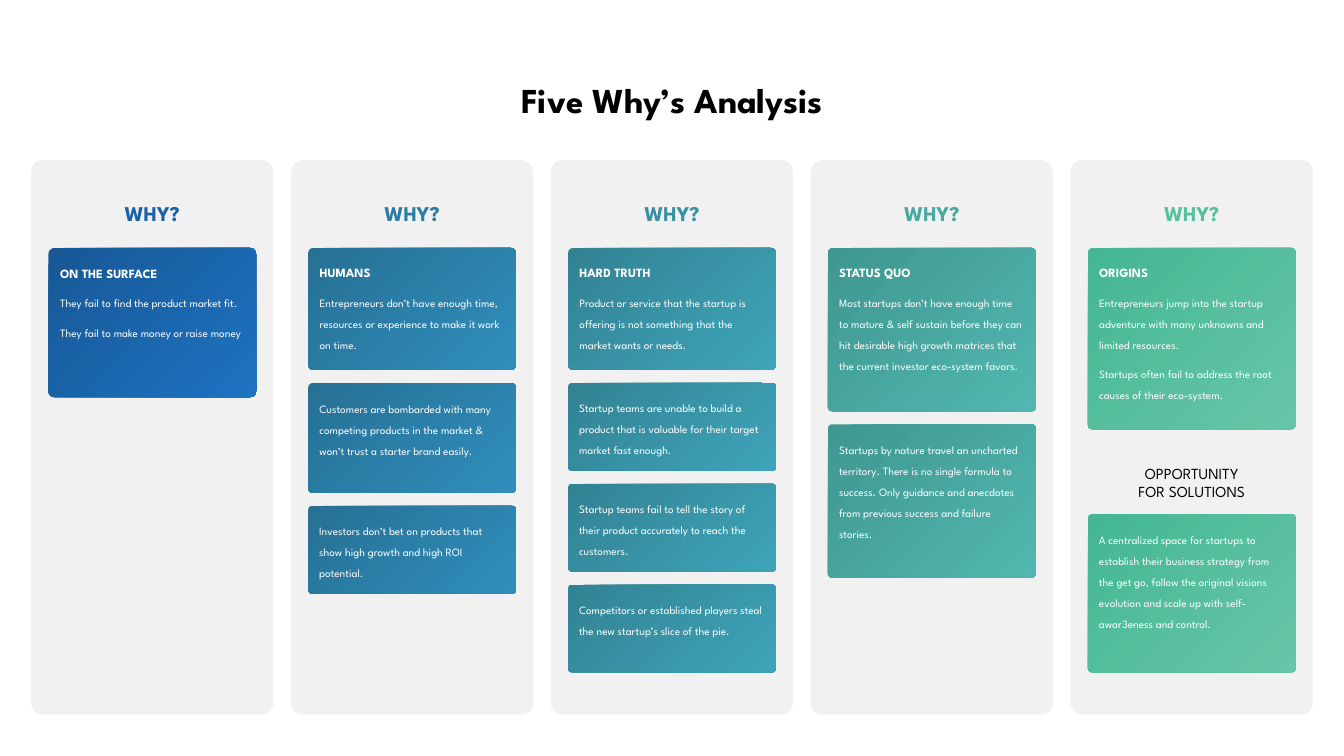
from pptx import Presentation
from pptx.dml.color import RGBColor as RGB
from pptx.enum.shapes import MSO_SHAPE as Form
from pptx.enum.text import MSO_ANCHOR as Anchor, MSO_AUTO_SIZE as Fit, PP_ALIGN as Align
from pptx.oxml import parse_xml
from pptx.oxml.ns import nsdecls
from pptx.util import Inches, Pt

WHITE = RGB(0xFF, 0xFF, 0xFF)
BLACK = RGB(0x00, 0x00, 0x00)
GREY = RGB(0xD9, 0xD9, 0xD9)
HUES = [
    (RGB(0x19, 0x62, 0xA6), RGB(0x17, 0x58, 0x95), RGB(0x1D, 0x72, 0xC2)),
    (RGB(0x2A, 0x7C, 0xA4), RGB(0x26, 0x70, 0x94), RGB(0x30, 0x8E, 0xBC)),
    (RGB(0x38, 0x91, 0xA3), RGB(0x32, 0x82, 0x93), RGB(0x3F, 0xA4, 0xB9)),
    (RGB(0x46, 0xA8, 0xA1), RGB(0x3F, 0x97, 0x91), RGB(0x52, 0xB7, 0xB0)),
    (RGB(0x56, 0xC0, 0x9F), RGB(0x44, 0xB6, 0x93), RGB(0x67, 0xC6, 0xA9)),
]
CARDS = [
    [(14.8, "ON THE SURFACE", ["They fail to find the product market fit.",
                               "They fail to make money or raise money"])],
    [(12.1, "HUMANS", ["Entrepreneurs don’t have enough time, resources or "
                       "experience to make it work on time."]),
     (10.9, "", ["Customers are bombarded with many competing products in the "
                 "market & won’t trust a starter brand easily."]),
     (8.7, "", ["Investors don’t bet on products that show high growth and "
                "high ROI potential."])],
    [(12.1, "HARD TRUTH", ["Product or service that the startup is offering is not "
                           "something that the market wants or needs."]),
     (8.7, "", ["Startup teams are unable to build a product that is valuable "
                "for their target market fast enough."]),
     (8.7, "", ["Startup teams fail to tell the story of their product "
                "accurately to reach the customers."]),
     (8.7, "", ["Competitors or established players steal the new startup’s "
                "slice of the pie."])],
    [(16.2, "STATUS QUO", ["Most startups don’t have enough time to mature & self "
                           "sustain before they can hit desirable high growth "
                           "matrices that the current investor eco-system favors."]),
     (15.2, "", ["Startups by nature travel an uncharted territory. There is no "
                 "single formula to success. Only guidance and anecdotes from "
                 "previous success and failure stories."])],
    [(18, "ORIGINS", ["Entrepreneurs jump into the startup adventure with many "
                      "unknowns and limited resources.",
                      "Startups often fail to address the root causes of their "
                      "eco-system."]),
     (15.7, "", ["A centralized space for startups to establish their business "
                 "strategy from the get go, follow the original visions evolution "
                 "and scale up with self-awar3eness and control."])],
]
GAPS = [1.3, 1.3, 1.3, 1.3, 8.4]
BENDS = [0.04, 0.04, 0.04, 0.025, 0.025]


class Board:
    """Draws on a slide by column number and rows of a tenth of an inch."""

    font = "League Spartan"
    left, top, wide, pitch, unit = 0.31, 1.59, 2.4, (10.62 - 0.31) / 4, 0.1

    def __init__(self, deck):
        self.slide = deck.slides.add_slide(deck.slide_layouts[5])
        self.shapes = self.slide.shapes

    def cell(self, col, row, wide, high):
        mid = self.left + self.pitch * col + self.wide / 2
        wide, high = wide * self.unit, high * self.unit
        return [Inches(n) for n in (mid - wide / 2, self.top + row * self.unit, wide, high)]

    def style(self, para, text, size, color, bold=False, align=Align.CENTER):
        para.text, para.alignment = text, align
        font = para.font
        font.name, font.size, font.bold = self.font, Pt(size), bold
        font.color.rgb = color

    def title(self, text):
        box = self.shapes.title
        box.left, box.top, box.width, box.height = self.cell(2, -9.2, 57.2, 5.4)
        frame = box.text_frame
        frame.auto_size, frame.vertical_anchor = Fit.NONE, Anchor.TOP
        self.style(frame.paragraphs[0], text, 25, BLACK, True)
        frame.paragraphs[0].line_spacing = Pt(34)

    def label(self, area, lines, size, color, bold=False):
        frame = self.shapes.add_textbox(*self.cell(*area)).text_frame
        frame.word_wrap, frame.vertical_anchor = False, Anchor.MIDDLE
        for i, line in enumerate(lines):
            para = frame.add_paragraph() if i else frame.paragraphs[0]
            self.style(para, line, size, color, bold)

    def block(self, area, bend):
        box = self.shapes.add_shape(Form.ROUNDED_RECTANGLE, *self.cell(*area))
        box.adjustments[0] = bend
        box.shadow.inherit = False
        box.line.fill.background()
        return box

    def panel(self, col):
        box = self.block((col, 0, 24, 55), 0.046)
        box.fill.solid()
        box.fill.fore_color.rgb = GREY
        tint = box.element.spPr.xpath("./a:solidFill/a:srgbClr")[0]
        tint.append(parse_xml(f'<a:alpha {nsdecls("a")} val="35000"/>'))

    def card(self, col, row, high, head, texts):
        box = self.block((col, row, 20.6, high), BENDS[col])
        box.fill.gradient()
        box.fill.gradient_angle = 315
        for stop, color in zip(box.fill.gradient_stops, HUES[col][1:]):
            stop.color.rgb = color
        frame = box.text_frame
        frame.word_wrap, frame.vertical_anchor = True, Anchor.TOP
        frame.margin_left = frame.margin_right = Inches(0.1)
        frame.margin_top = frame.margin_bottom = Inches(0.1)
        lines = [head] * bool(head) + texts
        for i, line in enumerate(lines):
            para = frame.add_paragraph() if i else frame.paragraphs[0]
            bold = line == head
            self.style(para, line, 9 if bold else 8, WHITE, bold, Align.LEFT)
            para.line_spacing, para.space_after = Pt(15), Pt(6)


def main():
    deck = Presentation()
    deck.slide_width, deck.slide_height = Inches(13.33), Inches(7.5)
    board = Board(deck)
    board.title("Five Why’s Analysis")
    for col, cards in enumerate(CARDS):
        board.panel(col)
        board.label((col, 3.5, 8, 3.5), ["WHY?"], 15, HUES[col][0], True)
        row = 8.7
        for high, head, texts in cards:
            board.card(col, row, high, head, texts)
            row += high + GAPS[col]
    board.label((4, 29.6, 13.5, 4.7), ["OPPORTUNITY", "FOR SOLUTIONS"], 11, BLACK)
    deck.save("out.pptx")


if __name__ == "__main__":
    main()
